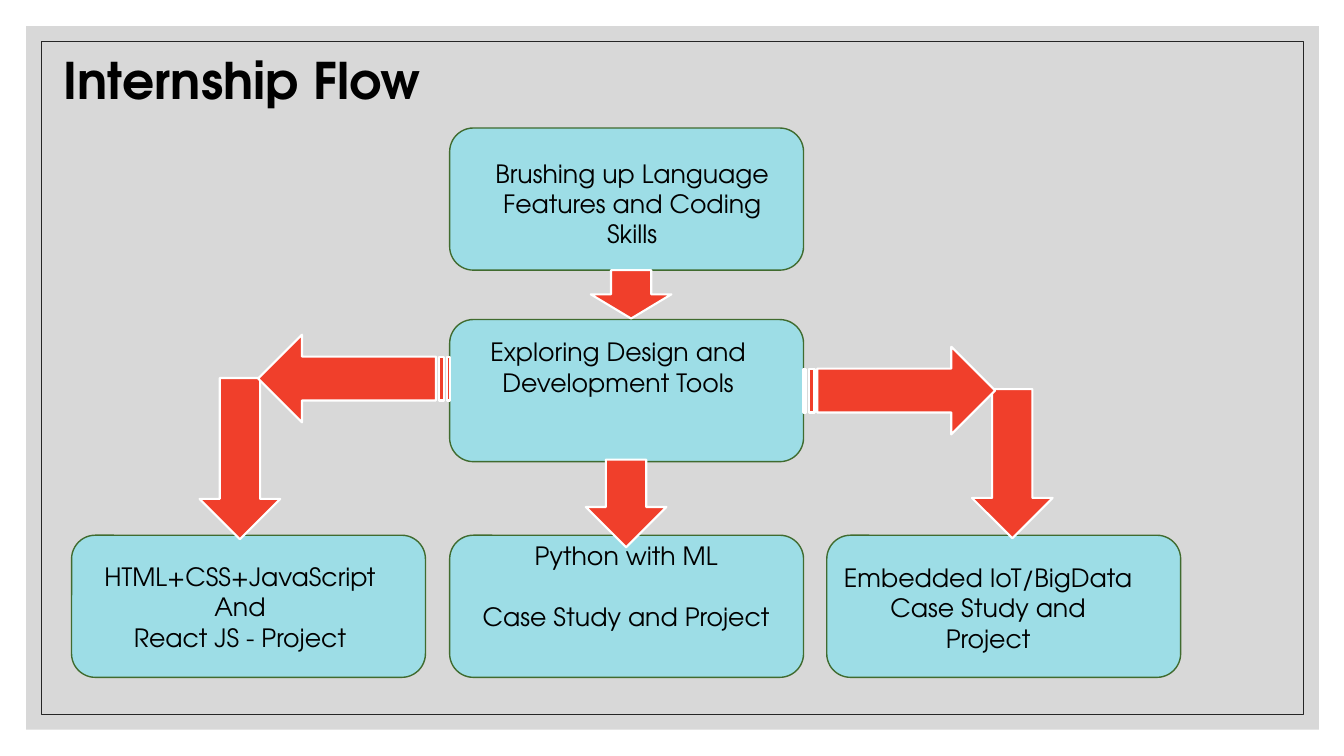
from lxml import etree
from pptx import Presentation
from pptx.dml.color import RGBColor
from pptx.enum.shapes import MSO_SHAPE
from pptx.enum.text import MSO_ANCHOR, MSO_AUTO_SIZE, PP_ALIGN
from pptx.oxml.ns import qn
from pptx.util import Inches, Pt

RECT = MSO_SHAPE.RECTANGLE
ROUND = MSO_SHAPE.ROUNDED_RECTANGLE
DOWN = MSO_SHAPE.DOWN_ARROW
STRIPED = MSO_SHAPE.STRIPED_RIGHT_ARROW
TOP = MSO_ANCHOR.TOP
NO_FIT = MSO_AUTO_SIZE.NONE
LEFT, CENTER = PP_ALIGN.LEFT, PP_ALIGN.CENTER

FONT = "TeX Gyre Adventor"
COLORS = {
    "panel": "BFBFBF", "border": "262626", "text": "000000",
    "step": "9DDDE6", "edge": "406B2F", "arrow": "F03F2B", "white": "FFFFFF",
}
TITLE = {"size": Pt(36), "bold": True, "name": FONT}
BODY = {"size": Pt(18), "bold": False, "name": FONT}

STEP_W, STEP_H = 3.51, 1.41
LABEL_W = 3.08
COLS = [0.71, 4.46, 8.2]
ROWS = [1.27, 3.17, 5.31]
STEPS = [
    (1, 0, 0.27, 0.25, 1.01, ["Brushing up Language Features and Coding Skills"], 0),
    (1, 1, 0.13, 0.12, 0.71, ["Exploring Design and Development Tools"], 0),
    (0, 2, 0.13, 0.21, 1.01, ["HTML+CSS+JavaScript", "And", "React JS - Project"], 0),
    (1, 2, 0.21, 0, 1.01, ["Python with ML", "Case Study and Project"], 22),
    (2, 2, 0.06, 0.22, 1.01, ["Embedded IoT/BigData", "Case Study and\vProject"], 0),
]
ARROWS = [
    (DOWN, (5.86, 2.68, 0.8, 0.48), 0),
    (DOWN, (5.81, 4.56, 0.8, 0.87), 0),
    (DOWN, (1.98, 3.75, 0.8, 1.6), 0),
    (DOWN, (9.64, 3.86, 0.8, 1.48), 0),
    (STRIPED, (7.97, 3.44, 1.9, 0.87), 0),
    (STRIPED, (2.56, 3.32, 1.9, 0.87), 180),
]


def color(key):
    return RGBColor.from_string(COLORS[key])


def add_part(slide, kind, box, fill=None, line=None, width=1):
    part = slide.shapes.add_shape(kind, *map(Inches, box))
    part.shadow.inherit = False
    if fill:
        part.fill.solid()
        part.fill.fore_color.rgb = color(fill)
    else:
        part.fill.background()
    if line:
        part.line.color.rgb = color(line)
        part.line.width = Pt(width)
    else:
        part.line.fill.background()
    return part


def set_text(frame, lines, style, align, wrap, gap=0):
    layout = {"word_wrap": wrap, "auto_size": NO_FIT, "vertical_anchor": TOP}
    for name, value in layout.items():
        setattr(frame, name, value)
    frame.text = "\n".join(lines)
    for index, para in enumerate(frame.paragraphs):
        look = {"alignment": align, "line_spacing": 1.0,
                "space_before": Pt(gap if index else 0)}
        for name, value in look.items():
            setattr(para, name, value)
        for run in para.runs:
            for name, value in style.items():
                setattr(run.font, name, value)
            run.font.color.rgb = color("text")


def add_frame(slide, box):
    left, top, width, height = box
    panel = add_part(slide, RECT, box, "panel")
    tint = panel.fill._xPr.find(qn("a:solidFill"))[0]
    etree.SubElement(tint, qn("a:alpha"), val="60000")
    inset = 0.15
    inner = (left + inset, top + inset, width - 2 * inset, height - 2 * inset)
    add_part(slide, RECT, inner, None, "border", 0.5)


def add_title(slide, box, text):
    title = slide.shapes.title
    for name, value in zip(("left", "top", "width", "height"), box):
        setattr(title, name, Inches(value))
    set_text(title.text_frame, [text], TITLE, LEFT, False)
    title.element.getparent().append(title.element)


def add_label(slide, box, lines, gap):
    label = slide.shapes.add_textbox(*map(Inches, box))
    set_text(label.text_frame, lines, BODY, CENTER, True, gap)


def add_flow(slide):
    for col, row, *_ in STEPS:
        box = (COLS[col], ROWS[row], STEP_W, STEP_H)
        add_part(slide, ROUND, box, "step", "edge")
    for kind, box, turn in ARROWS:
        arrow = add_part(slide, kind, box, "arrow", "white", 1.5)
        arrow.rotation = turn
    for col, row, dx, dy, height, lines, gap in STEPS:
        box = (COLS[col] + dx, ROWS[row] + dy, LABEL_W, height)
        add_label(slide, box, lines, gap)


def main():
    deck = Presentation()
    deck.slide_width, deck.slide_height = Inches(13.33), Inches(7.5)
    slide = deck.slides.add_slide(deck.slide_layouts[5])
    add_frame(slide, (0.26, 0.26, 12.82, 6.98))
    add_title(slide, (0.53, 0.44, 4.59, 0.71), "Internship Flow")
    add_flow(slide)
    deck.save("out.pptx")


if __name__ == "__main__":
    main()
